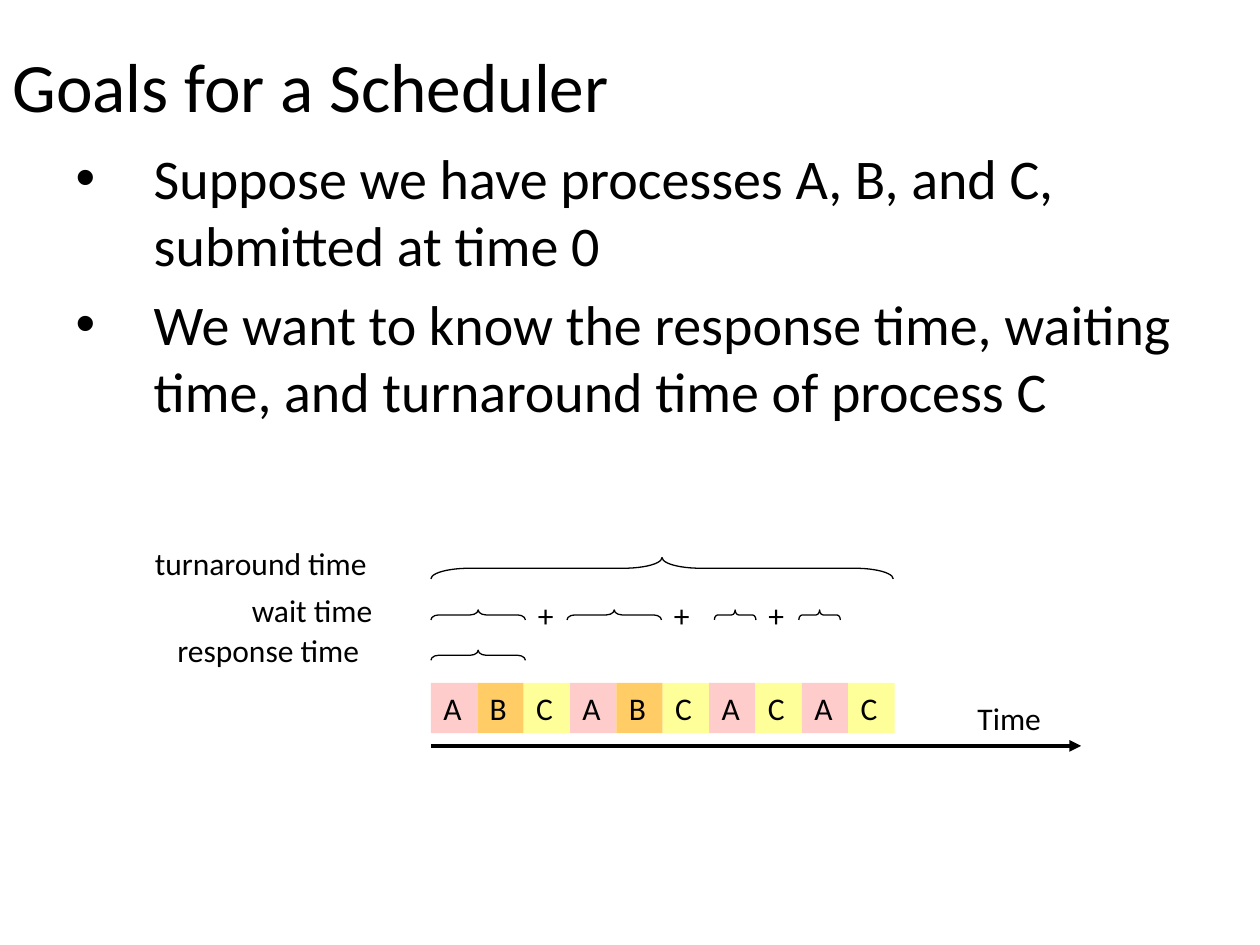
from collections import namedtuple
from lxml.etree import SubElement
from pptx import Presentation
from pptx.dml.color import RGBColor
from pptx.enum.shapes import MSO_CONNECTOR as Connector, MSO_SHAPE as Preset
from pptx.enum.text import MSO_ANCHOR as Anchor, MSO_AUTO_SIZE as AutoSize, PP_ALIGN as Align
from pptx.oxml.ns import qn
from pptx.util import Inches, Pt

Box = namedtuple("Box", "left top width height")
COLOURS = {"ink": "000000", "A": "FFCCCC", "B": "FFCC66", "C": "FFFF99"}
SCHEDULE = "ABCABCACAC"
ROW = 0.4
LABEL_RIGHT = 3.08
GOALS = [
    "Suppose we have processes A, B, and C, submitted at time 0",
    "We want to know the response time, waiting time, and turnaround time of process C",
]


def colour(name):
    """Look up a named colour."""
    return RGBColor.from_string(COLOURS[name])


def place(shape, box):
    """Move and size a shape to a box given in inches."""
    shape.left, shape.top, shape.width, shape.height = map(Inches, box)


def write(paragraph, text, size=18, align=Align.LEFT):
    """Add formatted text to a paragraph."""
    paragraph.alignment = align
    run = paragraph.add_run()
    run.text = text
    run.font.name = "Calibri"
    run.font.size = Pt(size)
    run.font.color.rgb = colour("ink")


def add_label(slide, text, box):
    """Add one line of unwrapped text."""
    shape = slide.shapes.add_textbox(*map(Inches, box))
    shape.text_frame.word_wrap = False
    write(shape.text_frame.paragraphs[0], text)


def add_title(slide, text, box):
    """Fill the title placeholder."""
    title = slide.shapes.title
    place(title, box)
    title.text_frame.auto_size = AutoSize.NONE
    title.text_frame.vertical_anchor = Anchor.MIDDLE
    write(title.text_frame.paragraphs[0], text, size=39.6)


def add_goals(slide, goals, box):
    """Fill the body placeholder with a bulleted list."""
    body = slide.placeholders[1]
    place(body, box)
    frame = body.text_frame
    frame.auto_size = AutoSize.NONE
    for index, goal in enumerate(goals):
        paragraph = frame.add_paragraph() if index else frame.paragraphs[0]
        paragraph.space_before = Pt(6.4)
        properties = paragraph._p.get_or_add_pPr()
        properties.set("marL", str(Inches(0.62)))
        properties.set("indent", str(-Inches(0.62)))
        write(paragraph, goal, size=32)


def add_brace(slide, left, middle, span, depth=0.08):
    """Draw a brace that points up over a horizontal span."""
    box = Box(left + (span - depth) / 2, middle - span / 2, depth, span)
    brace = slide.shapes.add_shape(Preset.RIGHT_BRACE, *map(Inches, box))
    brace.rotation = 270
    brace.adjustments[0] = span / 12 / depth
    brace.shadow.inherit = False
    brace.fill.background()
    brace.line.color.rgb = colour("ink")
    brace.line.width = Pt(0.75)


def add_measure(slide, name, box, spans, pluses=(), depth=0.08):
    """Draw a named measure as braces, given as offset and span, joined by plus signs."""
    middle = box.top + box.height * 0.6
    add_label(slide, name, Box(box.left, box.top, LABEL_RIGHT - box.left, box.height))
    for offset, span in spans:
        add_brace(slide, box.left + box.width + offset, middle, span, depth)
    for offset in pluses:
        plus_left = box.left + box.width + offset
        add_label(slide, "+", Box(plus_left, middle - ROW / 2, 0.35, ROW))


def add_timeline(slide, schedule, box):
    """Draw the schedule as coloured slots above a time arrow."""
    slot = 3.68 / len(schedule)
    for index, process in enumerate(schedule):
        cell = Box(box.left + index * slot, box.top, slot, ROW)
        shape = slide.shapes.add_shape(Preset.RECTANGLE, *map(Inches, cell))
        shape.shadow.inherit = False
        shape.fill.solid()
        shape.fill.fore_color.rgb = colour(process)
        shape.line.fill.background()
        shape.text_frame.word_wrap = False
        write(shape.text_frame.paragraphs[0], process)
    bottom = box.top + box.height
    ends = (box.left, bottom, box.left + box.width, bottom)
    arrow = slide.shapes.add_connector(Connector.STRAIGHT, *map(Inches, ends))
    arrow.line.color.rgb = colour("ink")
    arrow.line.width = Pt(2.25)
    SubElement(arrow.line._get_or_add_ln(), qn("a:tailEnd"), type="triangle")
    SubElement(arrow._element.spPr, qn("a:effectLst"))
    add_label(slide, "Time", Box(box.left + box.width - 0.92, box.top + 0.08, 0.76, ROW))


def main():
    """Build the slide and save it."""
    presentation = Presentation()
    presentation.slide_width, presentation.slide_height = Inches(10), Inches(7.5)
    slide = presentation.slides.add_slide(presentation.slide_layouts[1])
    add_title(slide, "Goals for a Scheduler", Box(0, 0.31, 9, 0.72))
    add_goals(slide, GOALS, Box(0.5, 1.09, 9.5, 5.61))
    start = 3.42
    add_timeline(slide, SCHEDULE, Box(start, 5.42, 5.16, 0.5))
    add_measure(slide, "response time", Box(1.31, 4.96, start - 1.31, ROW), [(0, 0.75)])
    add_measure(
        slide, "wait time", Box(1.9, 4.64, start - 1.9, ROW),
        [(0, 0.75), (1.08, 0.75), (2.25, 0.33), (2.92, 0.33)],
        pluses=(0.75, 1.83, 2.58),
    )
    add_measure(
        slide, "turnaround time", Box(1.13, 4.27, start - 1.13, ROW),
        [(0, 3.67)], depth=0.17,
    )
    presentation.save("out.pptx")


if __name__ == "__main__":
    main()
